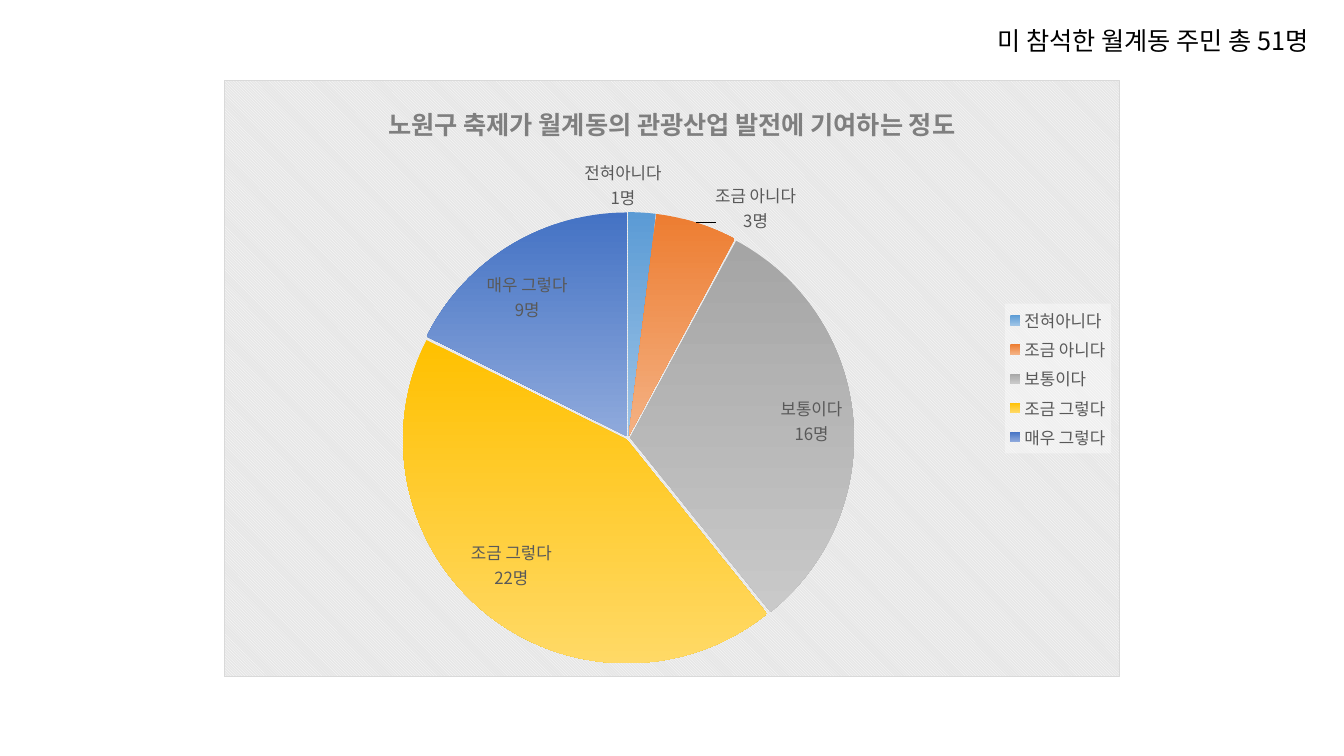
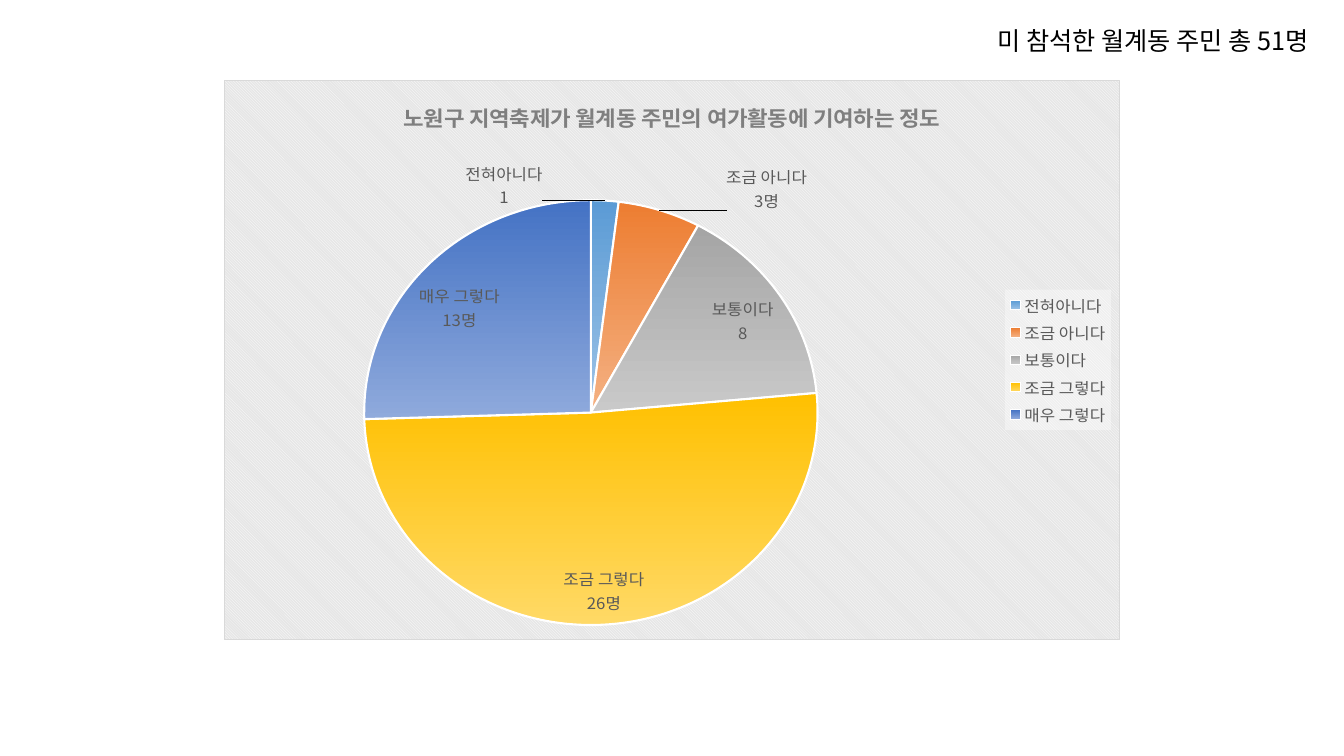
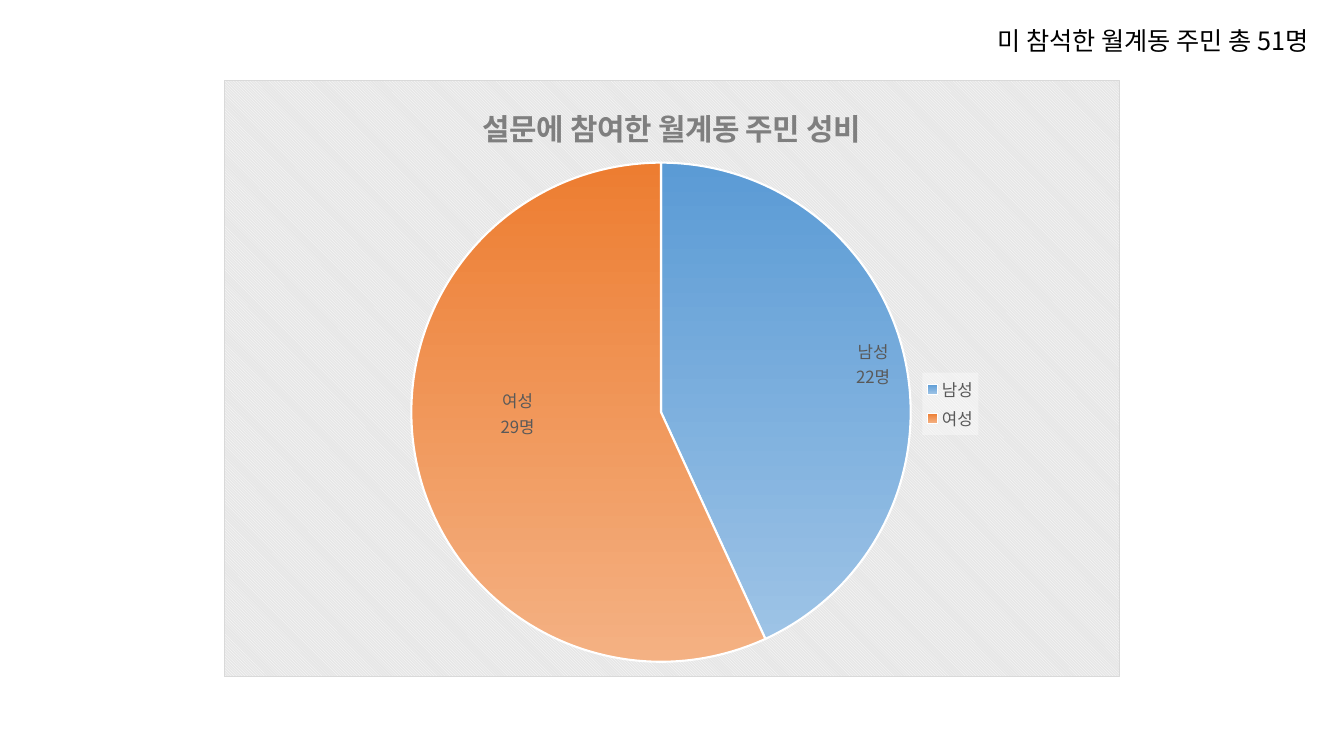
from dataclasses import dataclass
from math import cos, radians, sin

from pptx import Presentation
from pptx.chart.data import CategoryChartData
from pptx.dml.color import RGBColor
from pptx.enum.chart import XL_CHART_TYPE, XL_LABEL_POSITION, XL_LEGEND_POSITION
from pptx.enum.text import MSO_AUTO_SIZE
from pptx.oxml import parse_xml
from pptx.oxml.ns import nsdecls
from pptx.util import Cm, Pt


@dataclass(frozen=True)
class Theme:
    font: str = "Noto Sans CJK KR"
    black: str = "000000"
    white: str = "FFFFFF"
    title: str = "7F7F7F"
    label: str = "595959"
    panel: str = "E6E6E6"
    edge: str = "D9D9D9"
    tones: tuple[tuple[str, str], ...] = (
        ("5B9BD5", "9DC3E6"),
        ("ED7D31", "F4B183"),
        ("A5A5A5", "C9C9C9"),
        ("FFC000", "FFD966"),
        ("4472C4", "8FAADC"),
    )
    head: float = 18
    small: float = 12
    base: float = 10


@dataclass(frozen=True)
class Slice:
    name: str
    count: int
    x: float  # label centre, cm
    y: float
    unit: str = "명"


@dataclass(frozen=True)
class Pie:
    title: str
    size: float
    x: float  # pie centre and radius, cm
    y: float
    r: float
    slices: tuple[Slice, ...]
    burst: int = 0
    edge: float = 1.5
    key: tuple[float, float] | None = None
    spot: XL_LABEL_POSITION = XL_LABEL_POSITION.BEST_FIT


THEME = Theme()
HEAD = "미 참석한 월계동 주민 총 51명"
LEFT, TOP, WIDTH, HEIGHT = 5.64, 2.01, 22.58, 15.06

PIES = (
    Pie("노원구 축제가 월계동의 관광산업 발전에 기여하는 정도", 18, 15.83, 11.04, 5.7, (
        Slice("전혀아니다", 1, 15.7, 4.64),
        Slice("조금 아니다", 3, 19.05, 5.24),
        Slice("보통이다", 16, 20.46, 10.61),
        Slice("조금 그렇다", 22, 12.88, 14.24),
        Slice("매우 그렇다", 9, 13.28, 7.48),
    ), burst=1, edge=0),
    Pie("노원구 지역축제가 월계동 주민의 여가활동에 기여하는 정도", 16, 14.89, 10.96, 5.72, (
        Slice("전혀아니다", 1, 12.7, 4.84, unit=""),
        Slice("조금 아니다", 3, 19.33, 4.94),
        Slice("보통이다", 8, 18.72, 8.49, unit=""),
        Slice("조금 그렇다", 26, 15.22, 15.75),
        Slice("매우 그렇다", 13, 11.57, 8.14),
    )),
    Pie("설문에 참여한 월계동 주민 성비", 21.3, 16.66, 10.39, 6.3, (
        Slice("남성", 22, 21.97, 9.17),
        Slice("여성", 29, 13.08, 10.41),
    ), key=(0.78, 0.49), spot=XL_LABEL_POSITION.OUTSIDE_END),
)


# Text
def style(font, size: float, color: str, bold: bool = False) -> None:
    font.name = THEME.font
    font.size = Pt(size)
    font.bold = bold
    font.color.rgb = RGBColor.from_string(color)


def write(frame, text: str, *, size: float, color: str, bold: bool = False) -> None:
    frame.text = text
    for para in frame.paragraphs:
        for run in para.runs:
            style(run.font, size, color, bold)


def asian(root) -> None:
    """Use the theme font for Korean letters as well."""
    for latin in root.xpath(".//a:latin"):
        latin.addnext(parse_xml(f'<a:ea {nsdecls("a")} typeface="{THEME.font}"/>'))


# Chart XML
def place(node, index: int, x: float, y: float, w: float = 0, h: float = 0) -> None:
    """Give a chart part a manual layout, in shares of the chart."""
    for old in node.xpath("c:layout"):
        node.remove(old)
    inner = '<c:layoutTarget val="inner"/>' if w else ""
    mode = '<c:xMode val="edge"/><c:yMode val="edge"/>' if node.tag.endswith(("plotArea", "legend")) else ""
    size = f'<c:w val="{w:.4f}"/><c:h val="{h:.4f}"/>' if w else ""
    node.insert(index, parse_xml(
        f'<c:layout {nsdecls("c")}><c:manualLayout>{inner}{mode}'
        f'<c:x val="{x:.4f}"/><c:y val="{y:.4f}"/>{size}</c:manualLayout></c:layout>'))


def panel(root) -> None:
    """Fill the chart with stripes and the legend with clear white."""
    root.xpath("c:chart")[0].addnext(parse_xml(
        f'<c:spPr {nsdecls("c", "a")}><a:pattFill prst="dkDnDiag">'
        f'<a:fgClr><a:srgbClr val="{THEME.white}"/></a:fgClr>'
        f'<a:bgClr><a:srgbClr val="{THEME.panel}"/></a:bgClr></a:pattFill>'
        f'<a:ln w="9525"><a:solidFill><a:srgbClr val="{THEME.edge}"/></a:solidFill></a:ln></c:spPr>'))
    root.xpath(".//c:legend/c:overlay")[0].addnext(parse_xml(
        f'<c:spPr {nsdecls("c", "a")}><a:solidFill><a:srgbClr val="{THEME.white}">'
        '<a:alpha val="39000"/></a:srgbClr></a:solidFill></c:spPr>'))


# Slices
def shift(pie: Pie, part: Slice, start: int) -> tuple[float, float]:
    """Find how far a label lies from its default place outside the rim."""
    total = sum(s.count for s in pie.slices)
    turn = radians(360 * (start + part.count / 2) / total)
    wide = sum(0.1 if c == " " else 0.39 for c in part.name)
    limit = sin(radians(5))

    def base(unit: float, span: float) -> float:
        side = 0 if abs(unit) < limit else (1 if unit > 0 else -1)
        return unit * (pie.r + 0.15) + side * span / 2

    return ((part.x - pie.x - base(sin(turn), wide)) / WIDTH,
            (part.y - pie.y + base(cos(turn), 1.26)) / HEIGHT)


def paint(point, tone: tuple[str, str], edge: float) -> None:
    fill, line = point.format.fill, point.format.line
    fill.gradient()
    fill.gradient_angle = 270
    for stop, color in zip(fill.gradient_stops, tone):
        stop.color.rgb = RGBColor.from_string(color)
    if edge:
        line.width = Pt(edge)
        line.color.rgb = RGBColor.from_string(THEME.white)
    else:
        line.fill.background()


def draw(slide, pie: Pie) -> None:
    data = CategoryChartData()
    data.categories = [s.name for s in pie.slices]
    data.add_series("Series 1", [s.count for s in pie.slices])
    chart = slide.shapes.add_chart(
        XL_CHART_TYPE.PIE, Cm(LEFT), Cm(TOP), Cm(WIDTH), Cm(HEIGHT), data).chart
    root = chart.element
    style(chart.font, THEME.base, THEME.black)

    # Title and legend
    chart.has_title = True
    write(chart.chart_title.text_frame, pie.title, size=pie.size, color=THEME.title, bold=True)
    chart.has_legend = True
    chart.legend.position = XL_LEGEND_POSITION.RIGHT
    chart.legend.include_in_layout = False
    style(chart.legend.font, THEME.small, THEME.label)
    panel(root)
    if pie.key:
        place(root.xpath(".//c:legend")[0], 1, *pie.key)

    # Pie
    plot = chart.plots[0]
    plot.vary_by_categories = True
    place(root.xpath(".//c:plotArea")[0], 0,
          (pie.x - pie.r - LEFT) / WIDTH, (pie.y - pie.r - TOP) / HEIGHT,
          2 * pie.r / WIDTH, 2 * pie.r / HEIGHT)
    if pie.burst:
        root.xpath(".//c:ser/c:tx")[0].addnext(
            parse_xml(f'<c:explosion {nsdecls("c")} val="{pie.burst}"/>'))

    # Slices and labels
    row = plot.series[0]
    marks = row.data_labels
    marks.show_value = marks.show_category_name = True
    marks.position = pie.spot
    style(marks.font, THEME.small, THEME.label)
    start = 0
    for i, part in enumerate(pie.slices):
        point = row.points[i]
        paint(point, THEME.tones[i], pie.edge)
        label = point.data_label
        write(label.text_frame, f"{part.name}\n{part.count}{part.unit}",
              size=THEME.small, color=THEME.label)
        label.position = pie.spot
        place(root.xpath(f".//c:dLbl[c:idx/@val='{i}']")[0], 1, *shift(pie, part, start))
        start += part.count
    asian(root)


def head(slide) -> None:
    box = slide.shapes.add_textbox(Cm(24.89), Cm(0.51), Cm(8.8), Cm(1.03))
    frame = box.text_frame
    frame.word_wrap = False
    frame.auto_size = MSO_AUTO_SIZE.SHAPE_TO_FIT_TEXT
    write(frame, HEAD, size=THEME.head, color=THEME.black)
    asian(box.element)


def main() -> None:
    deck = Presentation()
    deck.slide_width, deck.slide_height = Cm(33.87), Cm(19.05)
    for pie in PIES:
        slide = deck.slides.add_slide(deck.slide_layouts[6])
        draw(slide, pie)
        head(slide)
    deck.save("out.pptx")


if __name__ == "__main__":
    main()
